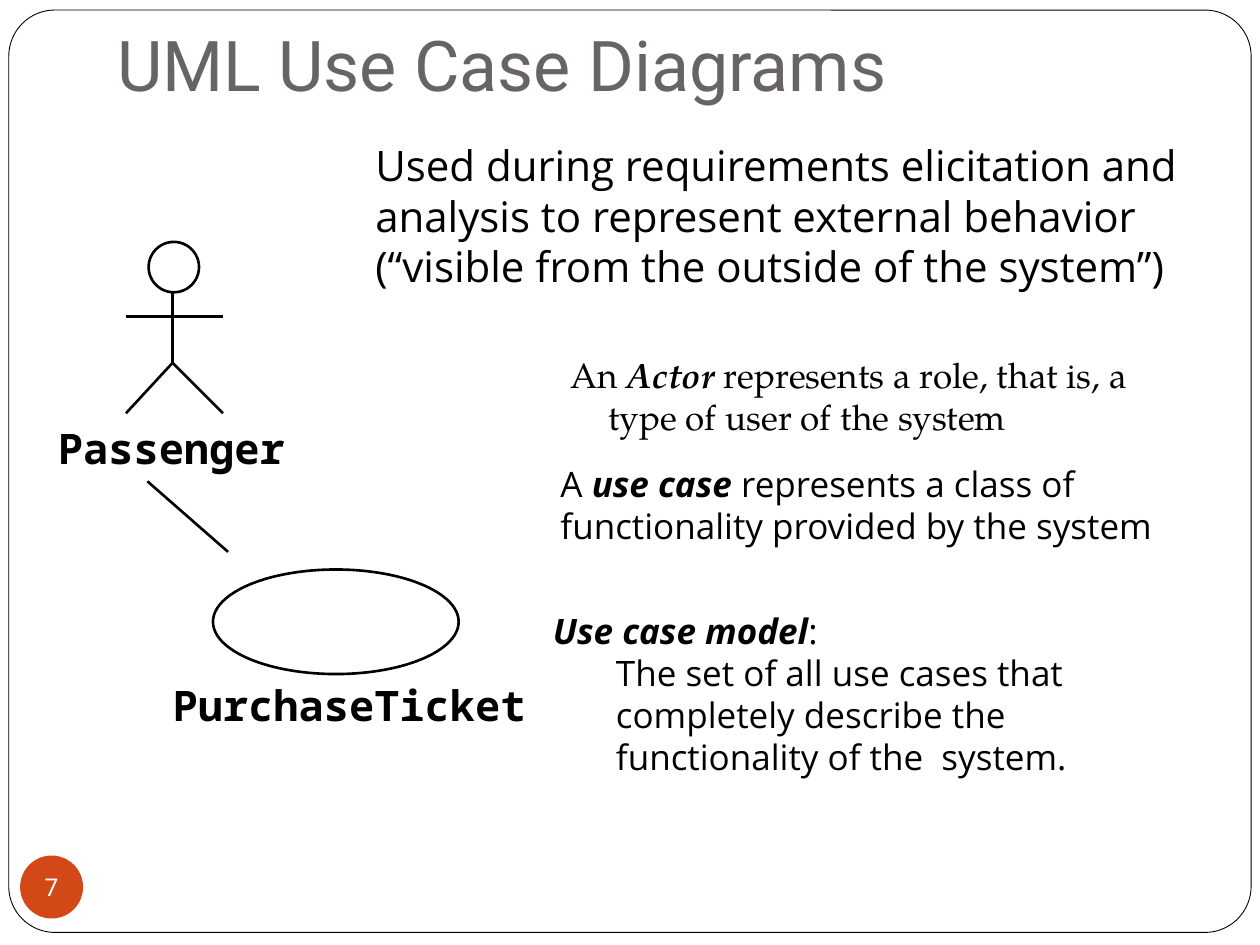
from lxml.etree import SubElement
from pptx import Presentation
from pptx.dml.color import RGBColor
from pptx.enum.shapes import MSO_CONNECTOR, MSO_SHAPE
from pptx.enum.text import MSO_ANCHOR, MSO_AUTO_SIZE, PP_ALIGN
from pptx.oxml.ns import qn
from pptx.util import Inches, Pt

BLACK, WHITE, GREY, ORANGE = "000000", "FFFFFF", "696464", "D34817"
SANS, MONO, SERIF, HEADING = "Open Sans", "Noto Sans Mono", "TeX Gyre Pagella", "Roboto"


def rgb(color):
    return RGBColor.from_string(color)


def inches(*values):
    return [Inches(v) for v in values]


def set_insets(tf, left, top, right, bottom):
    tf.margin_left, tf.margin_top, tf.margin_right, tf.margin_bottom = inches(
        left, top, right, bottom)


def style_font(p, font, size, color=BLACK, bold=None):
    p.font.name, p.font.size, p.font.bold = font, Pt(size), bold
    p.font.color.rgb = rgb(color)


def style_shape(sp, fill=None, line=BLACK, width=1.5):
    sp.shadow.inherit = False
    if fill:
        sp.fill.solid()
        sp.fill.fore_color.rgb = rgb(fill)
    else:
        sp.fill.background()
    if line:
        sp.line.color.rgb = rgb(line)
        sp.line.width = Pt(width)
    else:
        sp.line.fill.background()


def add_shape(shapes, kind, box, **style):
    sp = shapes.add_shape(kind, *inches(*box))
    style_shape(sp, **style)
    return sp


def add_line(shapes, start, end):
    line = shapes.add_connector(MSO_CONNECTOR.STRAIGHT, *inches(*start, *end))
    line.line.color.rgb = rgb(BLACK)
    line.line.width = Pt(1.5)
    SubElement(line.element.spPr, qn("a:effectLst"))


def add_label(shapes, box, text):
    tf = shapes.add_textbox(*inches(*box)).text_frame
    tf.word_wrap = False
    tf.auto_size = MSO_AUTO_SIZE.SHAPE_TO_FIT_TEXT
    set_insets(tf, 0, 0, 0, 0)
    p = tf.paragraphs[0]
    p.text = text
    style_font(p, MONO, 24, bold=True)


def add_text(shapes, box, paragraphs, font=SANS, size=20):
    """Each paragraph is a list of runs; a run wrapped in a tuple is bold italic."""
    tf = shapes.add_textbox(*inches(*box)).text_frame
    tf.word_wrap = True
    for i, runs in enumerate(paragraphs):
        p = tf.add_paragraph() if i else tf.paragraphs[0]
        style_font(p, font, size)
        for run in runs:
            r = p.add_run()
            if isinstance(run, tuple):
                r.text = run[0]
                r.font.bold = r.font.italic = True
            else:
                r.text = run
    return tf


def set_indent(p, left, first):
    pPr = p._p.get_or_add_pPr()
    pPr.set("marL", str(Inches(left)))
    pPr.set("indent", str(Inches(first)))


def add_frame(s):
    frame = add_shape(s.shapes, MSO_SHAPE.ROUNDED_RECTANGLE, (0.07, 0.08, 9.86, 7.32),
                      fill=WHITE, width=0.5)
    frame.adjustments[0] = 0.05
    frame.element.getparent().insert(2, frame.element)  # behind the title


def set_title(s, text):
    title = s.shapes.title
    title.left, title.top, title.width, title.height = inches(0.83, -0.31, 8.5, 1.25)
    tf = title.text_frame
    tf.text = text
    tf.auto_size = MSO_AUTO_SIZE.NONE
    tf.vertical_anchor = MSO_ANCHOR.BOTTOM
    set_insets(tf, 0.1, 0.05, 0.1, 0.1)
    p = tf.paragraphs[0]
    p.alignment = PP_ALIGN.LEFT
    style_font(p, HEADING, 40, GREY)


def add_actor(s, name):
    shapes = s.shapes.add_group_shape().shapes
    neck, hip = (1.37, 2.2), (1.37, 2.88)
    left_foot, right_foot = (1, 3.28), (1.77, 3.28)
    builder = shapes.build_freeform(*inches(*neck))
    builder.add_line_segments([inches(*hip), inches(*left_foot)], close=False)
    style_shape(builder.convert_to_shape())
    add_line(shapes, hip, right_foot)
    add_line(shapes, (1, 2.51), (1.77, 2.51))
    add_shape(shapes, MSO_SHAPE.OVAL, (1.18, 1.92, 0.4, 0.4), fill=WHITE)
    add_label(shapes, (0.46, 3.35, 1.8, 0.4), name)


def add_use_case(s, name):
    shapes = s.shapes.add_group_shape().shapes
    add_shape(shapes, MSO_SHAPE.OVAL, (1.69, 4.52, 1.95, 0.83))
    add_label(shapes, (1.37, 5.39, 2.8, 0.4), name)
    add_line(shapes, (1.17, 3.82), (1.81, 4.38))


def add_page_number(s, number):
    badge = add_shape(s.shapes, MSO_SHAPE.OVAL, (0.16, 6.79, 0.5, 0.5),
                      fill=ORANGE, line=None)
    tf = badge.text_frame
    tf.word_wrap = False
    tf.vertical_anchor = MSO_ANCHOR.MIDDLE
    set_insets(tf, 0, 0, 0, 0)
    p = tf.paragraphs[0]
    p.text = number
    p.alignment = PP_ALIGN.CENTER
    style_font(p, HEADING, 14, WHITE)


def main():
    prs = Presentation()
    prs.slide_width, prs.slide_height = inches(10, 7.5)
    s = prs.slides.add_slide(prs.slide_layouts[5])
    add_frame(s)
    set_title(s, "UML Use Case Diagrams")

    actor = add_text(s.shapes, (4.43, 2.76, 4.9, 0.88), [
        ["An ", ("Actor",), " represents a role, that is, a type of user of the system"],
    ], font=SERIF)
    set_indent(actor.paragraphs[0], 0.3, -0.3)
    actor.paragraphs[0].space_before = Pt(5.8)

    add_actor(s, "Passenger")
    add_use_case(s, "PurchaseTicket")

    add_text(s.shapes, (2.88, 1.06, 6.62, 1.07), [
        ["Used during requirements elicitation and analysis to represent "
         "external behavior (“visible from the outside of the system”)"],
    ], size=24)
    model = add_text(s.shapes, (4.29, 4.79, 5.37, 2.04), [
        [("Use case model",), ":"],
        ["The set of all use cases that completely describe the "
         "functionality of the  system."],
    ])
    model.paragraphs[1].level = 1
    set_indent(model.paragraphs[1], 0.5, 0)
    add_text(s.shapes, (4.35, 3.62, 5.33, 1), [
        ["A ", ("use case",), " represents a class of functionality provided by the system"],
    ])
    add_page_number(s, "7")
    prs.save("out.pptx")


if __name__ == "__main__":
    main()
